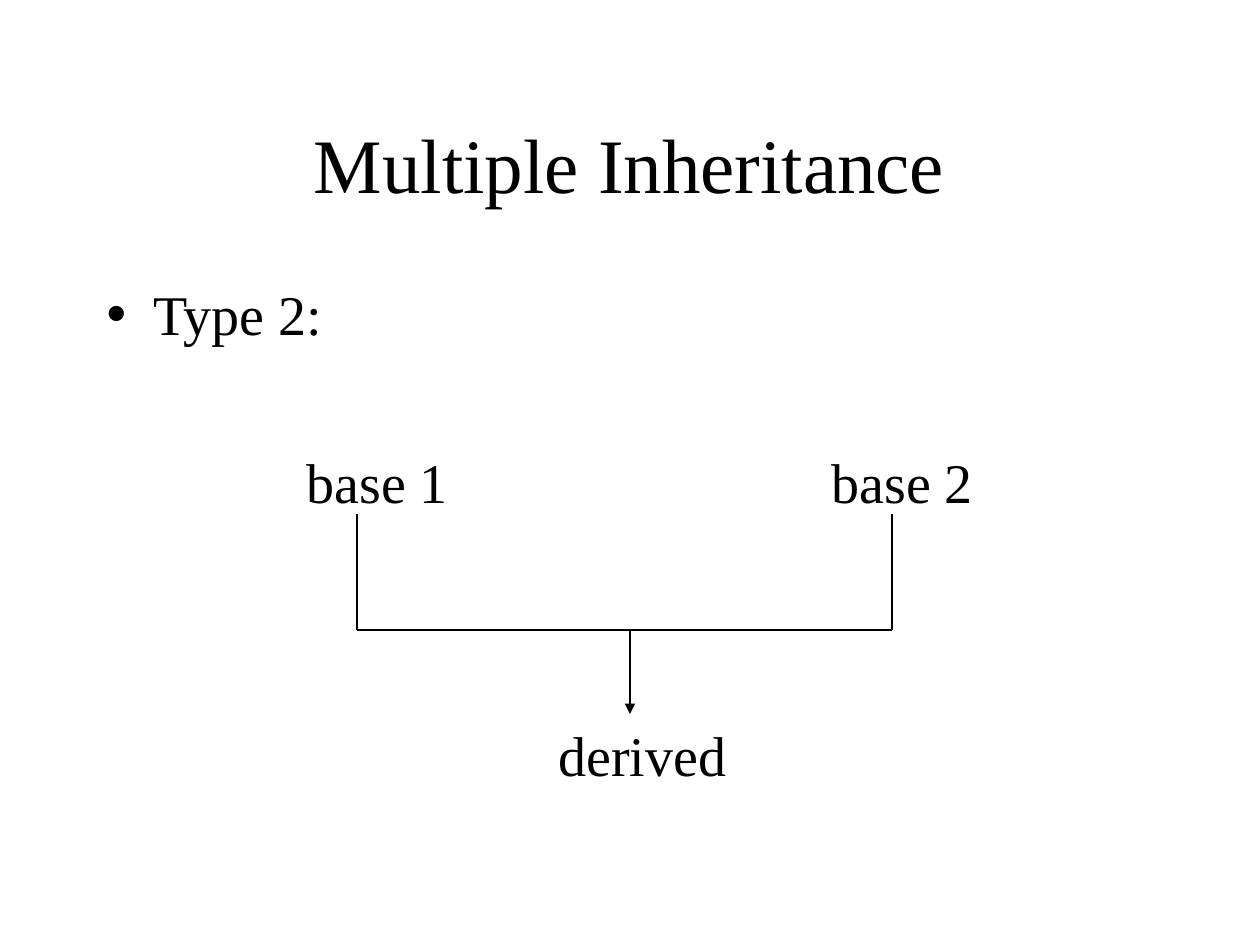
from pptx import Presentation
from pptx import util as u
from pptx.dml.color import RGBColor
from pptx.enum import shapes, text
from pptx.oxml.ns import qn
from lxml import etree

PIXEL = 914400 // 126
BLACK = RGBColor(0, 0, 0)
FONT = "Times New Roman"


def write(box, place, wording, size):
    """Place a box and give it one formatted paragraph."""
    box.left, box.top, box.width, box.height = [value * PIXEL for value in place]
    frame = box.text_frame
    frame.text = wording
    frame.word_wrap = True
    frame.auto_size = text.MSO_AUTO_SIZE.NONE
    para = frame.paragraphs[0]
    font = para.runs[0].font
    font.name, font.size = FONT, u.Pt(size)
    font.color.rgb = BLACK
    return para


deck = Presentation()
deck.slide_width, deck.slide_height = 1260 * PIXEL, 945 * PIXEL
page = deck.slides.add_slide(deck.slide_layouts[1])

# Title
title = page.shapes.title
para = write(title, (94, 84, 1071, 158), "Multiple Inheritance", 44)
para.alignment = text.PP_ALIGN.CENTER
title.text_frame.vertical_anchor = text.MSO_ANCHOR.MIDDLE

# Bulleted body
para = write(page.placeholders[1], (94, 273, 1071, 567), "Type 2:", 32)
properties = para._p.get_or_add_pPr()
properties.set("marL", str(47 * PIXEL))
properties.set("indent", str(-47 * PIXEL))
etree.SubElement(properties, qn("a:buChar")).set("char", "\u2022")

# Class names
for wording, left, top, width in (
    ("base 1", 294, 441, 168),
    ("base 2", 819, 441, 168),
    ("derived", 546, 714, 220),
):
    write(page.shapes.add_textbox(0, 0, 0, 0), (left, top, width, 79), wording, 32)

# Inheritance lines, the last one with an arrowhead
left, middle, right = 357, 630, 892
top, joint, tip = 514, 630, 714
for ends in (
    (left, joint, left, top),
    (left, joint, right, joint),
    (right, joint, right, top),
    (middle, joint, middle, tip),
):
    line = page.shapes.add_connector(
        shapes.MSO_CONNECTOR.STRAIGHT, *[value * PIXEL for value in ends]
    )
    line.line.color.rgb = BLACK
    line.line.width = u.Pt(0.75)
    etree.SubElement(line._element.spPr, qn("a:effectLst"))
etree.SubElement(line.line._get_or_add_ln(), qn("a:tailEnd")).set("type", "triangle")

deck.save("out.pptx")
